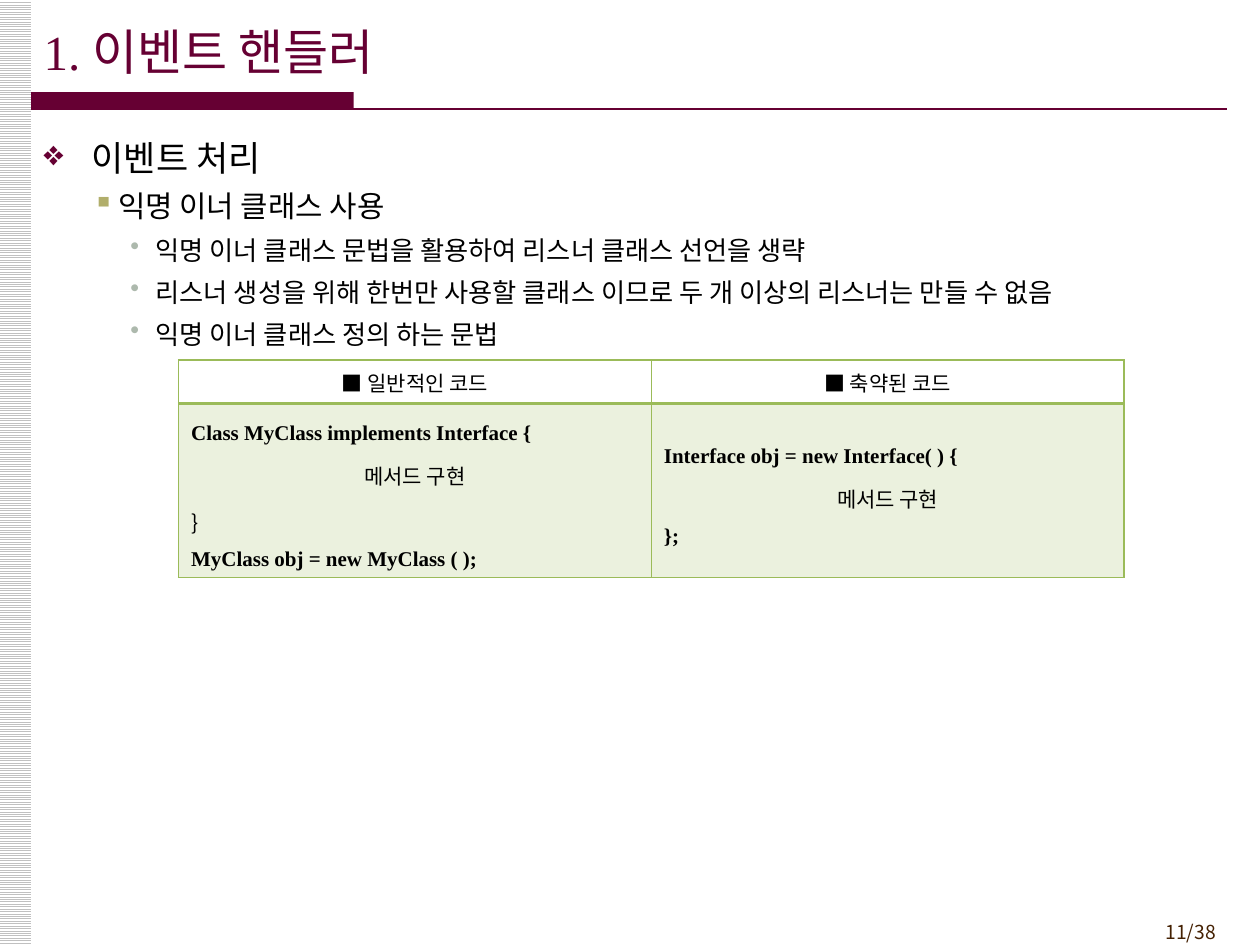
from lxml import etree
from pptx import Presentation
from pptx.dml.color import RGBColor
from pptx.enum.dml import MSO_PATTERN
from pptx.enum.shapes import MSO_CONNECTOR, MSO_SHAPE
from pptx.enum.text import MSO_ANCHOR, PP_ALIGN
from pptx.oxml import parse_xml
from pptx.oxml.ns import nsdecls, qn
from pptx.util import Cm, Pt

SERIF, SANS = "Times New Roman", "Noto Sans CJK KR"
WINE, GREEN, BLACK = "660033", "9BBB59", "000000"


def rgb(value):
    return RGBColor.from_string(value)


def style(paragraph, size, face, color=BLACK, bold=False):
    font = paragraph.font
    font.size, font.name, font.bold = Pt(size), face, bold
    font.color.rgb = rgb(color)


prs = Presentation()
prs.slide_width, prs.slide_height = Cm(25.4), Cm(19.05)
slide = prs.slides.add_slide(prs.slide_layouts[6])
shapes = slide.shapes

# Striped margin, title bar and rule
stripes = shapes.add_shape(MSO_SHAPE.RECTANGLE, Cm(-0.02), 0, Cm(0.65), Cm(19.05))
stripes.fill.patterned()
stripes.fill.pattern = MSO_PATTERN.LIGHT_HORIZONTAL
stripes.fill.fore_color.rgb = rgb("C0C0C0")
stripes.fill.back_color.rgb = rgb("FFFFFF")

title_bar = shapes.add_shape(MSO_SHAPE.RECTANGLE, Cm(0.63), Cm(1.86), Cm(6.5), Cm(0.35))
title_bar.fill.solid()
title_bar.fill.fore_color.rgb = rgb(WINE)
for block in (stripes, title_bar):
    block.line.fill.background()
    block.shadow.inherit = False

rule = shapes.add_connector(MSO_CONNECTOR.STRAIGHT, Cm(0.63), Cm(2.2), Cm(24.74), Cm(2.2))
rule.line.color.rgb = rgb(WINE)
rule.line.width = Pt(1.5)
etree.SubElement(rule._element.spPr, qn("a:effectLst"))

# Title and page number
for text, left, top, width, height, align, size, face, color in (
    ("1. 이벤트 핸들러", 0.63, 0.23, 21, 1.6, PP_ALIGN.LEFT, 28, SERIF, WINE),
    ("11/38", 22.66, 18.42, 2.1, 0.74, PP_ALIGN.RIGHT, 11, SANS, "452103"),
):
    frame = shapes.add_textbox(Cm(left), Cm(top), Cm(width), Cm(height)).text_frame
    frame.word_wrap = True
    frame.vertical_anchor = MSO_ANCHOR.MIDDLE
    line = frame.paragraphs[0]
    line.text, line.alignment = text, align
    style(line, size, face, color)

# Outline: indent and hanging in cm, bullet, bullet colour, size, line spacing, space after
levels = (
    (0.97, 0.97, "❖", WINE, 20, 1, 0),
    (1.5, 0.51, "▪", "B1AE6B", 17, 1.1, 3),
    (2.26, 0.51, "•", "ADB9AD", 15, 1, 3),
)
outline = (
    (0, "이벤트 처리"),
    (1, "익명 이너 클래스 사용"),
    (2, "익명 이너 클래스 문법을 활용하여 리스너 클래스 선언을 생략"),
    (2, "리스너 생성을 위해 한번만 사용할 클래스 이므로 두 개 이상의 리스너는 만들 수 없음"),
    (2, "익명 이너 클래스 정의 하는 문법"),
)
body = shapes.add_textbox(Cm(0.63), Cm(2.62), Cm(24.13), Cm(4.55)).text_frame
body.word_wrap = True
for index, (level, text) in enumerate(outline):
    indent, hanging, bullet, color, size, spacing, after = levels[level]
    item = body.add_paragraph() if index else body.paragraphs[0]
    item.text, item.level = text, level
    item.line_spacing, item.space_after = float(spacing), Pt(after)
    if index:
        item.space_before = Pt(size * 0.2)
    props = item._p.get_or_add_pPr()
    props.set("marL", str(Cm(indent)))
    props.set("indent", str(-Cm(hanging)))
    bullet_color = etree.SubElement(props, qn("a:buClr"))
    etree.SubElement(bullet_color, qn("a:srgbClr"), val=color)
    etree.SubElement(props, qn("a:buChar"), char=bullet)
    style(item, size, SERIF)

# Code comparison: text, font, bold, centred
implementation = ("메서드 구현", SANS, False, True)
columns = (
    ("■ 일반적인 코드", (
        ("Class MyClass implements Interface {", SERIF, True, False),
        implementation,
        ("}", SANS, False, False),
        ("MyClass obj = new MyClass ( );", SERIF, True, False),
    )),
    ("■ 축약된 코드", (
        ("Interface obj = new Interface( ) {", SERIF, True, False),
        implementation,
        ("};", SERIF, True, False),
    )),
)
table = shapes.add_table(2, 2, Cm(3.6), Cm(7.26), Cm(19.06), Cm(4.38)).table
table.rows[0].height, table.rows[1].height = Cm(0.88), Cm(3.5)
for col, (heading, code) in enumerate(columns):
    contents = (((heading, SANS, False, True),), code)
    for row, (lines, fill, spacing) in enumerate(zip(contents, ("FFFFFF", "EBF1DE"), (1.0, 1.5))):
        cell = table.cell(row, col)
        cell.vertical_anchor = MSO_ANCHOR.MIDDLE
        for index, (text, face, bold, centred) in enumerate(lines):
            frame = cell.text_frame
            line = frame.add_paragraph() if index else frame.paragraphs[0]
            line.text, line.line_spacing = text, spacing
            line.alignment = PP_ALIGN.CENTER if centred else PP_ALIGN.LEFT
            style(line, 12, face, bold=bold)
        edge_widths = {"lnL": 1, "lnR": 1, "lnT": 1 + row, "lnB": 2 - row}
        for edge, points in edge_widths.items():
            cell._tc.get_or_add_tcPr().append(parse_xml(
                f'<a:{edge} {nsdecls("a")} w="{Pt(points)}"><a:solidFill>'
                f'<a:srgbClr val="{GREEN}"/></a:solidFill></a:{edge}>'))
        cell.fill.solid()
        cell.fill.fore_color.rgb = rgb(fill)

prs.save("out.pptx")
